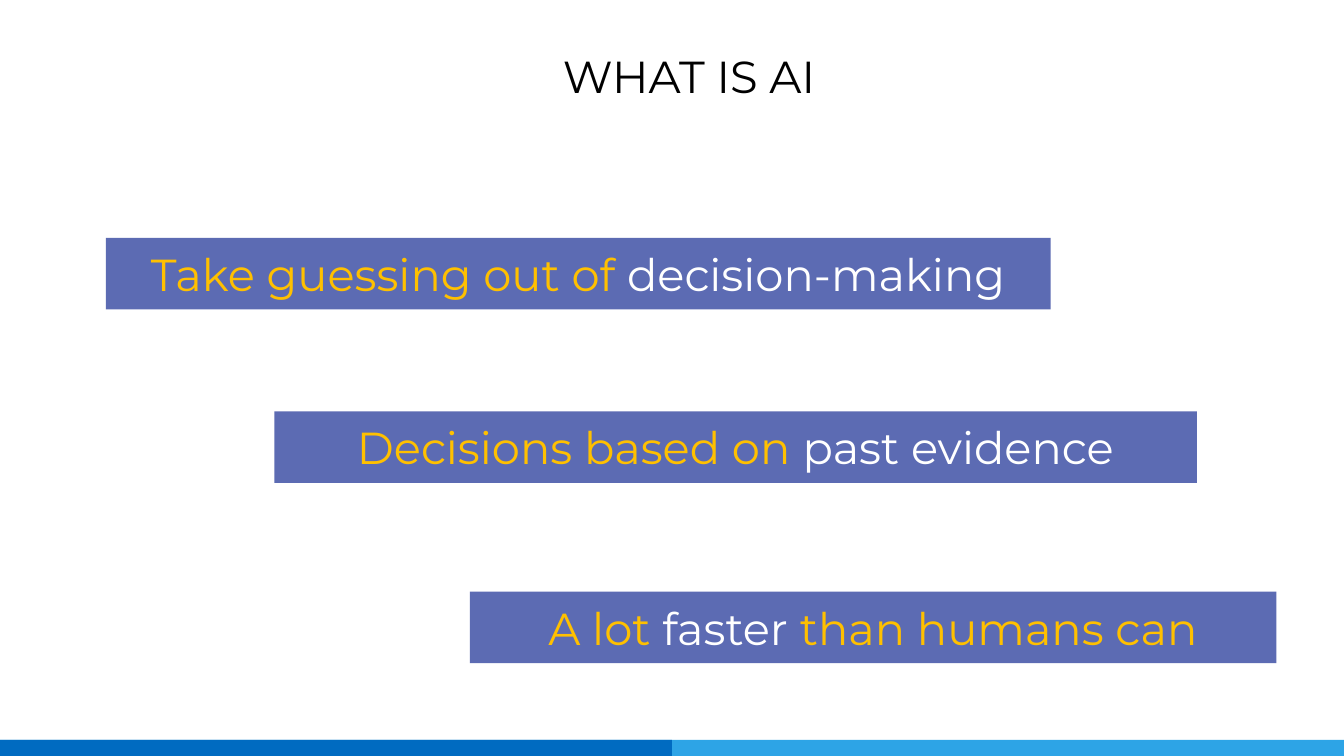
from dataclasses import dataclass
from typing import Optional

from lxml import etree
from pptx import Presentation
from pptx.dml.color import RGBColor
from pptx.enum import shapes, text
from pptx.oxml import ns
from pptx.util import Inches, Pt


@dataclass(frozen=True)
class Theme:
    font: str = "Montserrat"
    size: int = 32
    title: str = "000000"
    plain: str = "FFFFFF"
    accent: str = "FFC000"
    banner: str = "4959AA"
    banner_opacity: int = 89
    footer_dark: str = "006BC1"
    footer_light: str = "2DA4E6"


@dataclass(frozen=True)
class Phrase:
    words: str
    color: str


@dataclass(frozen=True)
class Banner:
    left: float
    top: float
    width: float
    phrases: tuple[Phrase, ...]


THEME = Theme()
SLIDE_WIDTH, SLIDE_HEIGHT = 13.33, 7.5
FOOTER_HEIGHT = 0.16
BANNER_HEIGHT = 0.71

BANNERS = (
    Banner(1.05, 2.36, 9.37, (
        Phrase("Take guessing out of ", THEME.accent),
        Phrase("decision-making", THEME.plain),
    )),
    Banner(2.72, 4.08, 9.15, (
        Phrase("Decisions based on ", THEME.accent),
        Phrase("past evidence", THEME.plain),
    )),
    Banner(4.66, 5.87, 8, (
        Phrase("A lot ", THEME.accent),
        Phrase("faster ", THEME.plain),
        Phrase("than humans can", THEME.accent),
    )),
)


def write_phrases(shape, phrases: tuple[Phrase, ...]) -> None:
    frame = shape.text_frame
    frame.word_wrap = True
    frame.vertical_anchor = text.MSO_ANCHOR.MIDDLE
    paragraph = frame.paragraphs[0]
    paragraph.alignment = text.PP_ALIGN.CENTER
    for phrase in phrases:
        run = paragraph.add_run()
        run.text = phrase.words
        run.font.name = THEME.font
        run.font.size = Pt(THEME.size)
        run.font.color.rgb = RGBColor.from_string(phrase.color)


def add_bar(slide, left: float, top: float, width: float, height: float,
            color: str, opacity: Optional[int] = None):
    bar = slide.shapes.add_shape(
        shapes.MSO_SHAPE.RECTANGLE,
        Inches(left), Inches(top), Inches(width), Inches(height))
    bar.shadow.inherit = False
    bar.line.fill.background()
    bar.fill.solid()
    bar.fill.fore_color.rgb = RGBColor.from_string(color)
    if opacity is not None:
        fill_color = bar.fill._xPr.find(".//" + ns.qn("a:srgbClr"))
        etree.SubElement(fill_color, ns.qn("a:alpha"), val=str(opacity * 1000))
    return bar


def add_footer(slide) -> None:
    top = SLIDE_HEIGHT - FOOTER_HEIGHT
    for width, color in ((SLIDE_WIDTH, THEME.footer_light),
                         (SLIDE_WIDTH / 2, THEME.footer_dark)):
        add_bar(slide, 0, top, width, FOOTER_HEIGHT, color)


def add_title(slide, words: str) -> None:
    title = slide.shapes.add_textbox(
        Inches(0.4), Inches(0.4), Inches(12.87), Inches(0.7))
    write_phrases(title, (Phrase(words, THEME.title),))


def add_banner(slide, banner: Banner) -> None:
    bar = add_bar(slide, banner.left, banner.top, banner.width, BANNER_HEIGHT,
                  THEME.banner, THEME.banner_opacity)
    write_phrases(bar, banner.phrases)


def main() -> None:
    presentation = Presentation()
    presentation.slide_width = Inches(SLIDE_WIDTH)
    presentation.slide_height = Inches(SLIDE_HEIGHT)
    slide = presentation.slides.add_slide(presentation.slide_layouts[6])
    add_footer(slide)
    add_title(slide, "WHAT IS AI")
    for banner in BANNERS:
        add_banner(slide, banner)
    presentation.save("out.pptx")


if __name__ == "__main__":
    main()
